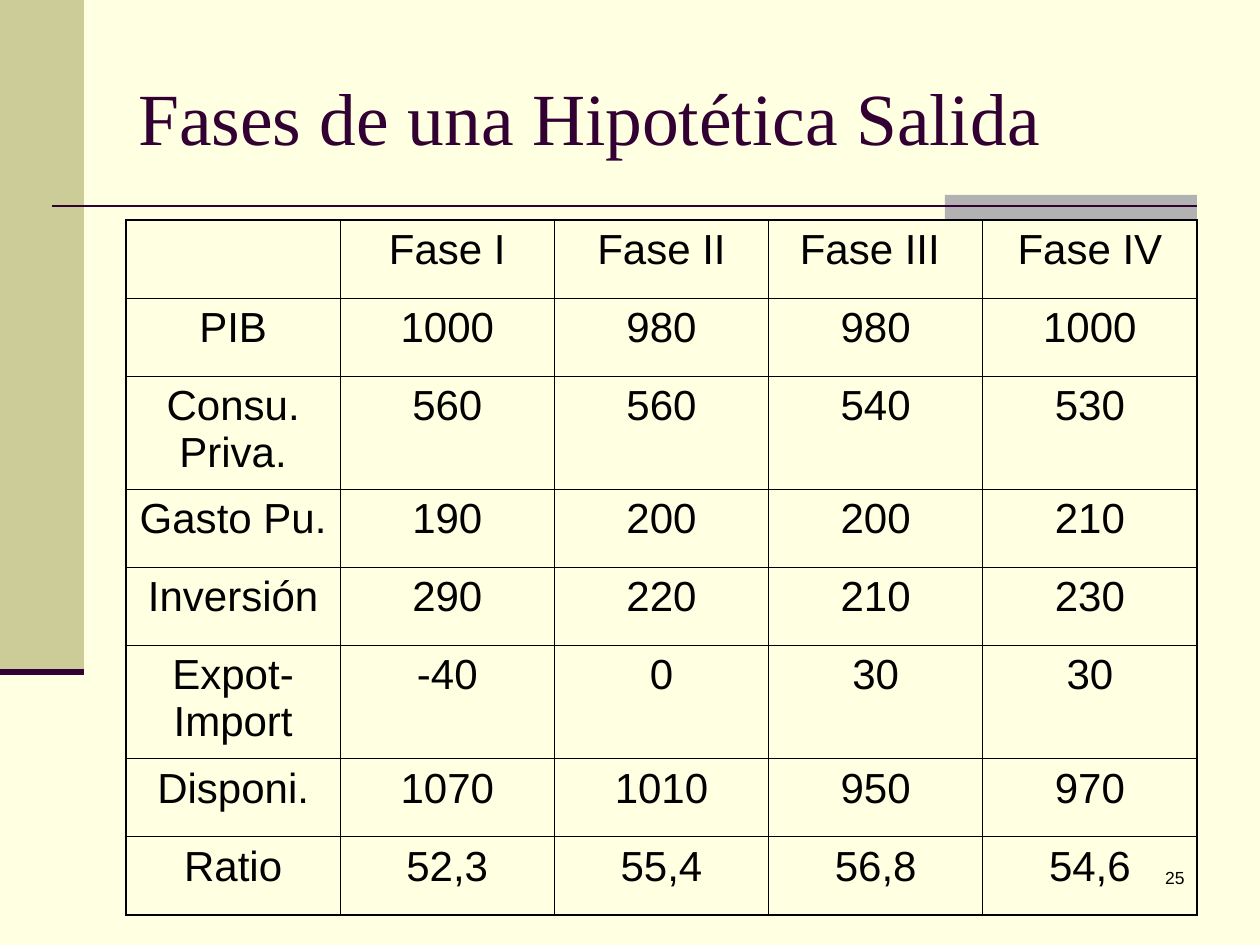
import lxml.etree
import pptx
import pptx.util
from pptx.dml.color import RGBColor
from pptx.enum.shapes import MSO_CONNECTOR, MSO_SHAPE
from pptx.enum.text import MSO_ANCHOR, PP_ALIGN
from pptx.oxml.ns import qn

PX = 914400 / 126
CREAM = RGBColor(0xFF, 0xFF, 0xE1)
KHAKI = RGBColor(0xCC, 0xCC, 0x99)
GRAY = RGBColor(0xB2, 0xB2, 0xB2)
PLUM = RGBColor(0x33, 0x00, 0x33)
BLACK = RGBColor(0x00, 0x00, 0x00)


def px(*lengths):
    return [round(length * PX) for length in lengths]


def write(text_frame, text, font_name, size, color, alignment):
    text_frame.word_wrap = True
    paragraph = text_frame.paragraphs[0]
    paragraph.text = text
    paragraph.alignment = alignment
    paragraph.font.name = font_name
    paragraph.font.size = pptx.util.Pt(size)
    paragraph.font.color.rgb = color
    return paragraph


presentation = pptx.Presentation()
presentation.slide_width, presentation.slide_height = px(1260, 945)
slide = presentation.slides.add_slide(presentation.slide_layouts[6])
slide.background.fill.solid()
slide.background.fill.fore_color.rgb = CREAM

# Side band and gray accent
for box, color in [((0, 0, 84, 672), KHAKI), ((945, 195, 252, 25), GRAY)]:
    shape = slide.shapes.add_shape(MSO_SHAPE.RECTANGLE, *px(*box))
    shape.shadow.inherit = False
    shape.fill.solid()
    shape.fill.fore_color.rgb = color
    shape.line.fill.background()

# Rules under the title and the side band
for ends, width in [((52, 206, 1197, 206), 1.5), ((0, 672, 84, 672), 3.5)]:
    connector = slide.shapes.add_connector(MSO_CONNECTOR.STRAIGHT, *px(*ends))
    connector.line.color.rgb = PLUM
    connector.line.width = pptx.util.Pt(width)
    lxml.etree.SubElement(connector._element.spPr, qn("a:effectLst"))

# Title
title = slide.shapes.add_textbox(*px(126, 38, 1071, 157))
title.text_frame.vertical_anchor = MSO_ANCHOR.MIDDLE
write(title.text_frame, "Fases de una Hipotética Salida",
      "Times New Roman", 42, PLUM, PP_ALIGN.LEFT)

# Table of phases
rows = [
    ("", "Fase I", "Fase II", "Fase III ", "Fase IV"),
    ("PIB", "1000", "980", "980", "1000"),
    ("Consu. Priva.", "560", "560", "540", "530"),
    ("Gasto Pu.", "190", "200", "200", "210"),
    ("Inversión", "290", "220", "210", "230"),
    ("Expot-Import", "-40", "0", "30", "30"),
    ("Disponi.", "1070", "1010", "950", "970"),
    ("Ratio", "52,3", "55,4", "56,8", "54,6"),
]
TALL_ROWS = (2, 5)
last_row, last_column = len(rows) - 1, len(rows[0]) - 1
table = slide.shapes.add_table(
    len(rows), len(rows[0]), *px(126, 220, 1071, 694)).table
table.first_row = table.horz_banding = False

for row_index, row in enumerate(rows):
    table.rows[row_index].height = px(113 if row_index in TALL_ROWS else 78)[0]
    for column_index, text in enumerate(row):
        cell = table.cell(row_index, column_index)
        paragraph = write(cell.text_frame, text, "Arial", 24, BLACK, PP_ALIGN.CENTER)
        paragraph.space_before = pptx.util.Pt(6)

        # Heavier border on the outer edges
        properties = cell._tc.get_or_add_tcPr()
        for tag, is_outer in [("a:lnL", column_index == 0),
                              ("a:lnR", column_index == last_column),
                              ("a:lnT", row_index == 0),
                              ("a:lnB", row_index == last_row)]:
            border = lxml.etree.SubElement(properties, qn(tag))
            border.set("w", str(pptx.util.Pt(1.08 if is_outer else 0.45)))
            fill = lxml.etree.SubElement(border, qn("a:solidFill"))
            lxml.etree.SubElement(fill, qn("a:srgbClr")).set("val", str(BLACK))
        cell.fill.background()

# Slide number
number = slide.shapes.add_textbox(*px(935, 861, 262, 63))
write(number.text_frame, "25", "Arial", 10, BLACK, PP_ALIGN.RIGHT)

presentation.save("out.pptx")
